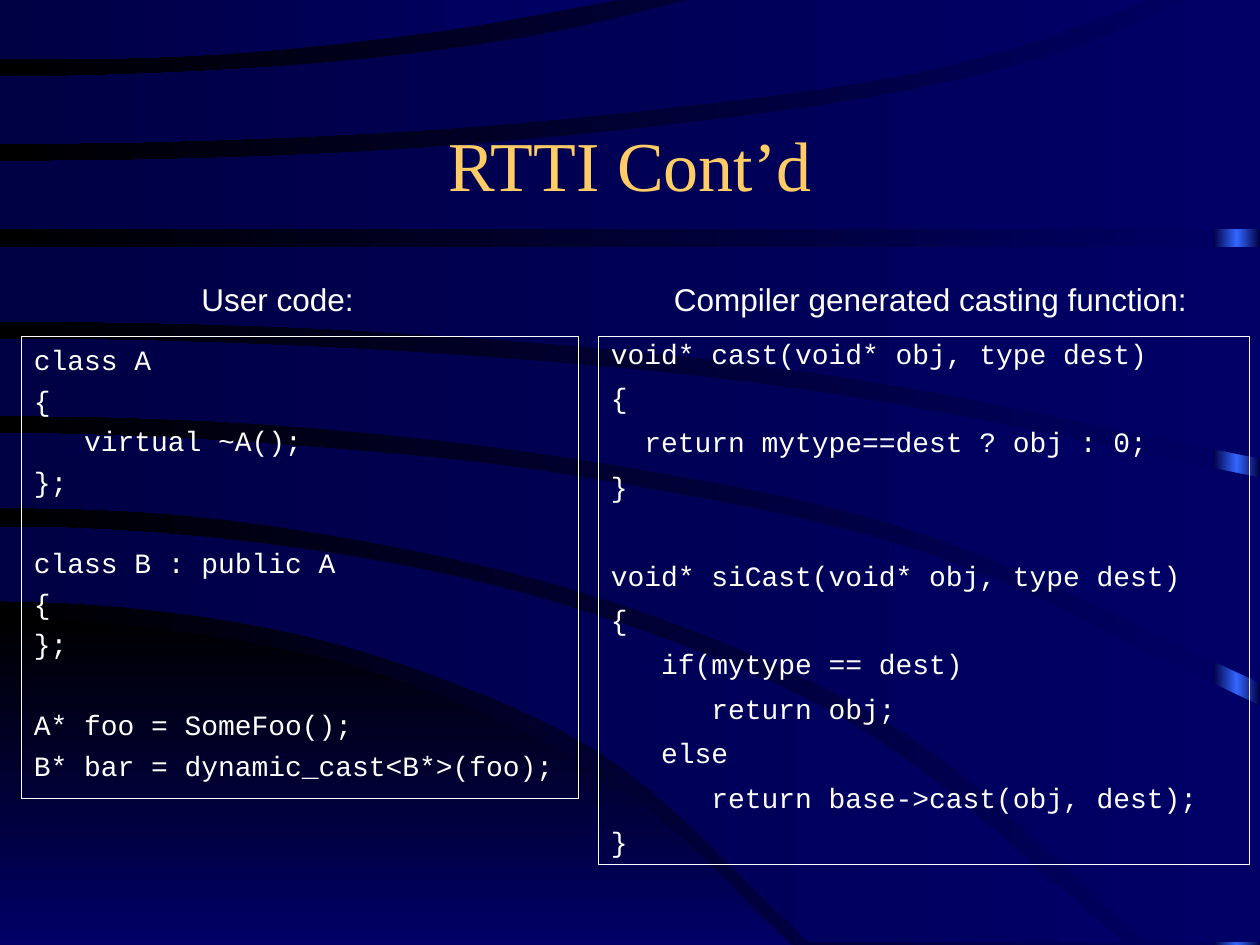
from copy import deepcopy

from pptx import Presentation
from pptx.dml.color import RGBColor
from pptx.enum.shapes import MSO_SHAPE
from pptx.enum.text import MSO_ANCHOR, PP_ALIGN
from pptx.oxml.ns import qn
from pptx.util import Inches, Pt

COLORS = {
    "black": "000000",
    "navy": "000066",
    "deep": "000044",
    "glow": "3366FF",
    "title": "FFCC66",
    "text": "FFFFFF",
}

TITLE = "RTTI Cont’d"

USER_CODE = """class A
{
   virtual ~A();
};

class B : public A
{
};

A* foo = SomeFoo();
B* bar = dynamic_cast<B*>(foo);"""

CASTING_CODE = """void* cast(void* obj, type dest)
{
  return mytype==dest ? obj : 0;
}

void* siCast(void* obj, type dest)
{
   if(mytype == dest)
      return obj;
   else
      return base->cast(obj, dest);
}"""

LISTINGS = [
    {"code": USER_CODE, "box": (0.17, 2.67, 4.42, 3.67), "before": 4, "spacing": 1.0},
    {"code": CASTING_CODE, "box": (4.75, 2.67, 5.17, 4.19), "before": 10, "spacing": 0.8},
]

HEADINGS = [
    ("Compiler generated casting function:", (5.25, 2.17, 4.33, 0.4)),
    ("User code:", (1.5, 2.17, 1.5, 0.4)),
]

CORNER = {
    "upper": [(0, 4.91), (1.65, 5.05), (3.27, 5.44), (4.95, 6.27), (6.28, 7.5)],
    "lower": [(0, 7.5), (6.28, 7.5)],
}

BANDS = [
    {"upper": [(0, 4.18), (2.49, 4.37), (4.72, 4.88), (6.87, 5.81), (8.93, 7.48)],
     "lower": [(0, 4.77), (1.85, 4.93), (3.42, 5.35), (4.92, 6.08), (6.42, 7.48)]},
    {"upper": [(0, 3.44), (2.49, 3.55), (4.74, 3.81), (7.38, 4.4), (10, 5.6)],
     "lower": [(0, 4.03), (2.21, 4.18), (4.82, 4.76), (7.2, 5.83), (9.09, 7.48)],
     "ends": [(10, 7.48)]},
    {"upper": [(0, 2.69), (3.49, 2.81), (6.62, 3.13), (10, 3.79)],
     "lower": [(0, 3.3), (2.55, 3.4), (5.12, 3.73), (7.43, 4.27), (10, 5.42)]},
    {"upper": [(0, 1.96), (10, 1.96)],
     "lower": [(0, 2.55), (3.32, 2.65), (6.62, 2.98), (10, 3.64)]},
    {"upper": [(0, 1.28), (3.29, 1.18), (6.44, 0.85), (8.35, 0.44), (9.43, -0.02)],
     "lower": [(0, 1.82), (10, 1.82)],
     "ends": [(10, -0.02)]},
    {"upper": [(0, 0.61), (2.33, 0.52), (4.16, 0.3), (5.56, -0.02)],
     "lower": [(0, 1.14), (3.41, 1.03), (6.48, 0.71), (8.02, 0.39), (9.17, -0.02)]},
    {"upper": [(0, -0.02), (5.01, -0.02)],
     "lower": [(0, 0.47), (1.73, 0.43), (3.46, 0.25), (5.01, -0.02)]},
]

STEPS = 6


def spline(a, b, c, d, t):
    return b + t / 2 * (c - a + t * (2 * a - 5 * b + 4 * c - d + t * (3 * (b - c) + d - a)))


def smooth_edge(knots):
    if len(knots) == 2:
        return knots
    (next_x, next_y), (prior_x, prior_y), (last_x, last_y) = knots[1], knots[-2], knots[-1]
    padded = [(-next_x, next_y), *knots, (2 * last_x - prior_x, 2 * last_y - prior_y)]
    edge = [
        tuple(spline(*axis, step / STEPS) for axis in zip(*window))
        for window in zip(padded, padded[1:], padded[2:], padded[3:])
        for step in range(STEPS)
    ]
    return edge + [knots[-1]]


def set_gradient(fill, colors, angle=180):
    fill.gradient()
    fill.gradient_angle = angle
    for stop, color in zip(fill.gradient_stops, colors):
        stop.color.rgb = RGBColor.from_string(COLORS[color])


def add_band(slide, band, colors, angle=180):
    outline = smooth_edge(band["upper"]) + band.get("ends", []) + smooth_edge(band["lower"])[::-1]
    corners = [(Inches(x), Inches(y)) for x, y in outline]
    builder = slide.shapes.build_freeform(*corners[0])
    builder.add_line_segments(corners[1:], close=True)
    curve = builder.convert_to_shape()
    curve.shadow.inherit = False
    curve.line.fill.background()
    set_gradient(curve.fill, colors, angle)


def add_glow_strip(slide):
    strip = slide.shapes.add_shape(
        MSO_SHAPE.RECTANGLE, Inches(9.63), 0, Inches(0.37), Inches(7.5))
    strip.shadow.inherit = False
    strip.line.fill.background()
    set_gradient(strip.fill, ["deep", "deep"])
    stops = strip._element.spPr.find(".//" + qn("a:gsLst"))
    stops.insert(1, deepcopy(stops[0]))
    middle = strip.fill.gradient_stops[1]
    middle.position = 0.5
    middle.color.rgb = RGBColor.from_string(COLORS["glow"])


def style(paragraph, font, size, color="text"):
    paragraph.font.name = font
    paragraph.font.size = Pt(size)
    paragraph.font.color.rgb = RGBColor.from_string(COLORS[color])


def add_label(slide, text, box, font, size, color="text"):
    frame = slide.shapes.add_textbox(*map(Inches, box)).text_frame
    frame.word_wrap = True
    frame.text = text
    style(frame.paragraphs[0], font, size, color)
    return frame


def add_listing(slide, code, box, before, spacing):
    panel = slide.shapes.add_shape(MSO_SHAPE.RECTANGLE, *map(Inches, box))
    panel.shadow.inherit = False
    panel.fill.background()
    panel.line.color.rgb = RGBColor.from_string(COLORS["text"])
    panel.line.width = Pt(0.75)
    frame = panel.text_frame
    frame.word_wrap = True
    frame.vertical_anchor = MSO_ANCHOR.TOP
    frame.text = code
    for number, paragraph in enumerate(frame.paragraphs):
        paragraph.alignment = PP_ALIGN.LEFT
        paragraph.line_spacing = spacing
        paragraph.space_before = Pt(before if number else 0)
        style(paragraph, "Courier New", 16)
        if not paragraph.text:
            paragraph._p.get_or_add_endParaRPr().set("sz", "1600")


def main():
    prs = Presentation()
    prs.slide_width, prs.slide_height = Inches(10), Inches(7.5)
    slide = prs.slides.add_slide(prs.slide_layouts[6])
    set_gradient(slide.background.fill, ["navy", "black"])
    add_glow_strip(slide)
    add_band(slide, CORNER, ["black", "navy"], 270)
    for band in BANDS:
        add_band(slide, band, ["navy", "deep"])
    title = add_label(slide, TITLE, (0.75, 0.67, 8.5, 1.25), "Times New Roman", 40, "title")
    title.vertical_anchor = MSO_ANCHOR.MIDDLE
    title.paragraphs[0].alignment = PP_ALIGN.CENTER
    for listing in LISTINGS:
        add_listing(slide, **listing)
    for text, box in HEADINGS:
        add_label(slide, text, box, "Arial", 18)
    prs.save("out.pptx")


if __name__ == "__main__":
    main()
